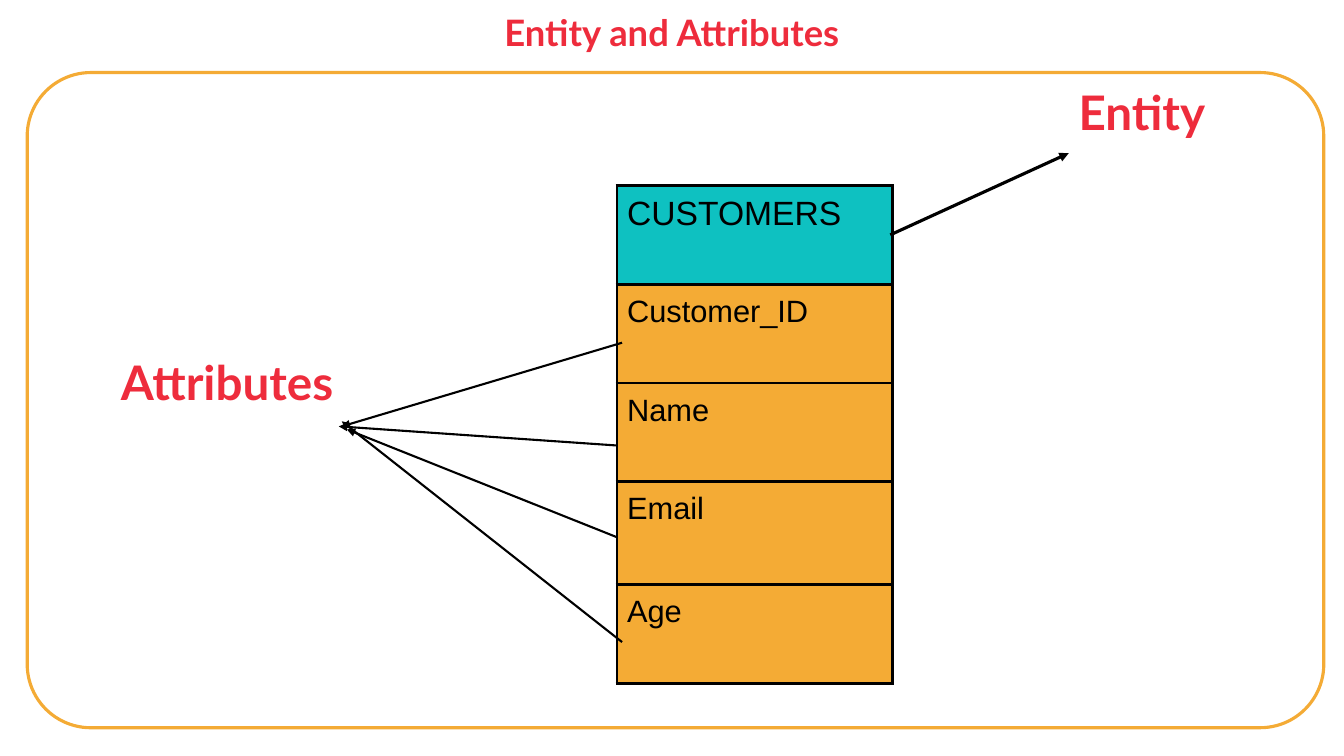
"""Build the slide that shows an entity table with its attributes."""
from lxml import etree
from pptx import Presentation, util as u
from pptx.dml.color import RGBColor
from pptx.enum import shapes, text
from pptx.oxml.ns import qn

RED = RGBColor(0xEE, 0x2C, 0x3C)
TEAL = RGBColor(0x0E, 0xC1, 0xC1)
ORANGE = RGBColor(0xF4, 0xAB, 0x35)
BLACK = RGBColor(0, 0, 0)

HEADING = "Entity and Attributes"
ENTITY = "CUSTOMERS"
ATTRIBUTES = ["Customer_ID", "Name", "Email", "Age"]
LABELS = [("Entity", (10.6, 0.72, 2.5, 0.8)),
          ("Attributes", (1.1, 3.4, 2.6, 0.8))]
ROW_HEIGHTS = [0.98, 0.98, 0.98, 1.02, 0.98]
TABLE_LEFT, TABLE_TOP, TABLE_WIDTH = 6.12, 1.84, 2.73
ENTITY_ARROW = ((8.83, 2.33), (10.6, 1.52))
ATTRIBUTE_ARROWS = [((6.17, 3.4), (3.39, 4.23)),
                    ((6.12, 4.42), (3.36, 4.23)),
                    ((6.12, 5.33), (3.44, 4.26)),
                    ((6.17, 6.37), (3.39, 4.18))]
INSETS = ("margin_left", "margin_top", "margin_right", "margin_bottom")


def apply(target, values):
    for key, value in values.items():
        setattr(target, key, value)


def write(frame, words, size, font, color, bold=False):
    frame.text = words
    run_font = frame.paragraphs[0].runs[0].font
    apply(run_font, {"size": u.Pt(size), "name": font, "bold": bold})
    run_font.color.rgb = color


def format_frame(frame):
    apply(frame, dict.fromkeys(INSETS, u.Inches(0.1)))
    apply(frame, {"word_wrap": True, "auto_size": text.MSO_AUTO_SIZE.NONE,
                  "vertical_anchor": text.MSO_ANCHOR.TOP})


def add_arrow(slide, ends, width):
    start, end = ends
    arrow = slide.shapes.add_connector(
        shapes.MSO_CONNECTOR.STRAIGHT, *map(u.Inches, start + end))
    arrow.line.color.rgb = BLACK
    arrow.line.width = u.Pt(width)
    properties = arrow.element.spPr
    etree.SubElement(properties.find(qn("a:ln")), qn("a:tailEnd"), type="triangle")
    etree.SubElement(properties, qn("a:effectLst"))


def add_borders(cell):
    properties = cell._tc.get_or_add_tcPr()
    for place, side in enumerate(("a:lnL", "a:lnR", "a:lnT", "a:lnB")):
        border = etree.Element(qn(side), w=str(u.Pt(2.25)))
        fill = etree.SubElement(border, qn("a:solidFill"))
        etree.SubElement(fill, qn("a:srgbClr"), val=str(BLACK))
        properties.insert(place, border)


def add_entity_table(slide):
    names = [ENTITY] + ATTRIBUTES
    table = slide.shapes.add_table(
        len(names), 1, *map(u.Inches, (TABLE_LEFT, TABLE_TOP, TABLE_WIDTH,
                                       sum(ROW_HEIGHTS)))).table
    apply(table, {"first_row": False, "horz_banding": False})
    for index, (name, height) in enumerate(zip(names, ROW_HEIGHTS)):
        table.rows[index].height = u.Inches(height)
        cell = table.cell(index, 0)
        apply(cell, dict.fromkeys(INSETS, u.Inches(0.1)))
        write(cell.text_frame, name, 22 if index else 24, "Arial", BLACK)
        cell.fill.solid()
        cell.fill.fore_color.rgb = ORANGE if index else TEAL
        add_borders(cell)


def main():
    deck = Presentation()
    apply(deck, {"slide_width": u.Inches(13.33), "slide_height": u.Inches(7.5)})
    slide = deck.slides.add_slide(deck.slide_layouts[5])

    title = slide.shapes.title
    apply(title, {"left": 0, "top": 0, "width": deck.slide_width,
                  "height": u.Inches(0.64)})
    format_frame(title.text_frame)
    write(title.text_frame, HEADING, 26, "Lato", RED, True)
    title.text_frame.paragraphs[0].alignment = text.PP_ALIGN.CENTER

    add_entity_table(slide)
    add_arrow(slide, ENTITY_ARROW, 2.25)
    for ends in ATTRIBUTE_ARROWS:
        add_arrow(slide, ends, 1.5)

    for words, box in LABELS:
        frame = slide.shapes.add_textbox(*map(u.Inches, box)).text_frame
        format_frame(frame)
        write(frame, words, 34, "Lato", RED, True)

    border = slide.shapes.add_shape(
        shapes.MSO_SHAPE.ROUNDED_RECTANGLE,
        *map(u.Inches, (0.27, 0.72, 12.86, 6.5)))
    border.adjustments[0] = 0.097
    border.shadow.inherit = False
    border.fill.background()
    border.line.color.rgb = ORANGE
    border.line.width = u.Pt(2.25)

    deck.save("out.pptx")


if __name__ == "__main__":
    main()
